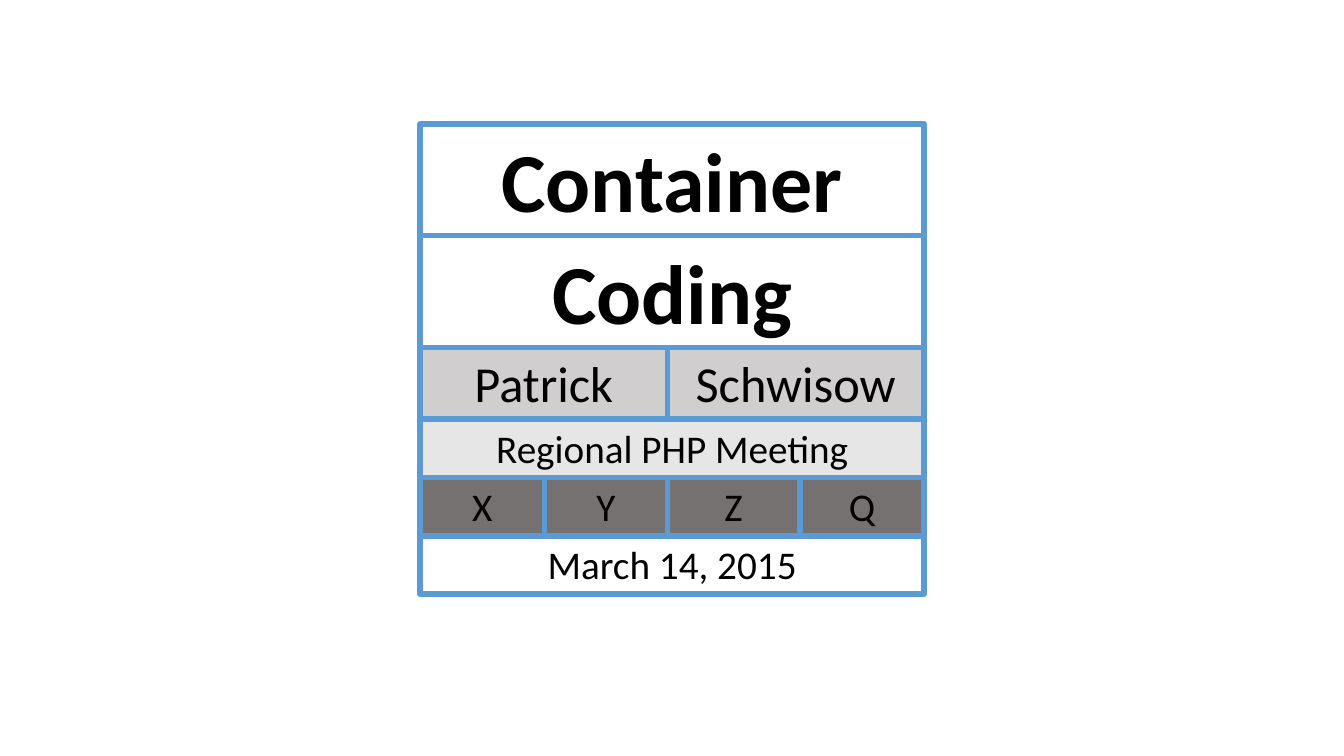
from dataclasses import dataclass
from itertools import pairwise
from typing import Optional

from pptx import Presentation
from pptx.dml.color import RGBColor
from pptx.enum.text import MSO_AUTO_SIZE as AutoSize, PP_ALIGN as Align
from pptx.slide import Slide
from pptx.util import Cm, Pt

BLACK = RGBColor(0x00, 0x00, 0x00)
WHITE = RGBColor(0xFF, 0xFF, 0xFF)
BLUE = RGBColor(0x5B, 0x9B, 0xD5)
SILVER = RGBColor(0xD0, 0xCE, 0xCE)
PALE_GREY = RGBColor(0xE7, 0xE6, 0xE6)
DARK_GREY = RGBColor(0x76, 0x71, 0x71)

# Container edges in centimetres
TOP = 3.12
LEFT, QUARTER, MIDDLE, THREE_QUARTERS, RIGHT = 10.59, 13.72, 16.82, 20.16, 23.29
FULL = (LEFT, RIGHT)
HALVES = (LEFT, MIDDLE, RIGHT)
QUARTERS = (LEFT, QUARTER, MIDDLE, THREE_QUARTERS, RIGHT)


@dataclass(frozen=True)
class Row:
    words: tuple[str, ...]
    edges: tuple[float, ...]
    height: float
    size: int
    fill: Optional[RGBColor] = None
    bold: bool = False


ROWS = (
    Row(("Container",), FULL, 2.82, 60, bold=True),
    Row(("Coding",), FULL, 2.82, 60, bold=True),
    Row(("Patrick", "Schwisow"), HALVES, 1.8, 36, SILVER),
    Row(("Regional PHP Meeting",), FULL, 1.47, 28, PALE_GREY),
    Row(("X", "Y", "Z", "Q"), QUARTERS, 1.47, 28, DARK_GREY),
    Row(("March 14, 2015",), FULL, 1.47, 28, WHITE),
)


def draw_row(slide: Slide, row: Row, top: float) -> None:
    """Draw one outlined box per word between neighbouring edges."""
    for word, (left, right) in zip(row.words, pairwise(row.edges)):
        box = slide.shapes.add_textbox(
            Cm(left), Cm(top), Cm(right - left), Cm(row.height)
        )
        box.line.color.rgb = BLUE
        box.line.width = Pt(4)
        if row.fill is not None:
            box.fill.solid()
            box.fill.fore_color.rgb = row.fill

        frame = box.text_frame
        frame.text = word
        frame.word_wrap = True
        frame.auto_size = AutoSize.SHAPE_TO_FIT_TEXT
        paragraph = frame.paragraphs[0]
        paragraph.alignment = Align.CENTER
        font = paragraph.runs[0].font
        font.name = "Calibri"
        font.size = Pt(row.size)
        font.bold = row.bold
        font.color.rgb = BLACK


def main() -> None:
    deck = Presentation()
    deck.slide_width, deck.slide_height = Cm(33.87), Cm(19.05)
    slide = deck.slides.add_slide(deck.slide_layouts[6])

    # Stack the rows from top to bottom
    top = TOP
    for row in ROWS:
        draw_row(slide, row, top)
        top += row.height

    deck.save("out.pptx")


if __name__ == "__main__":
    main()
